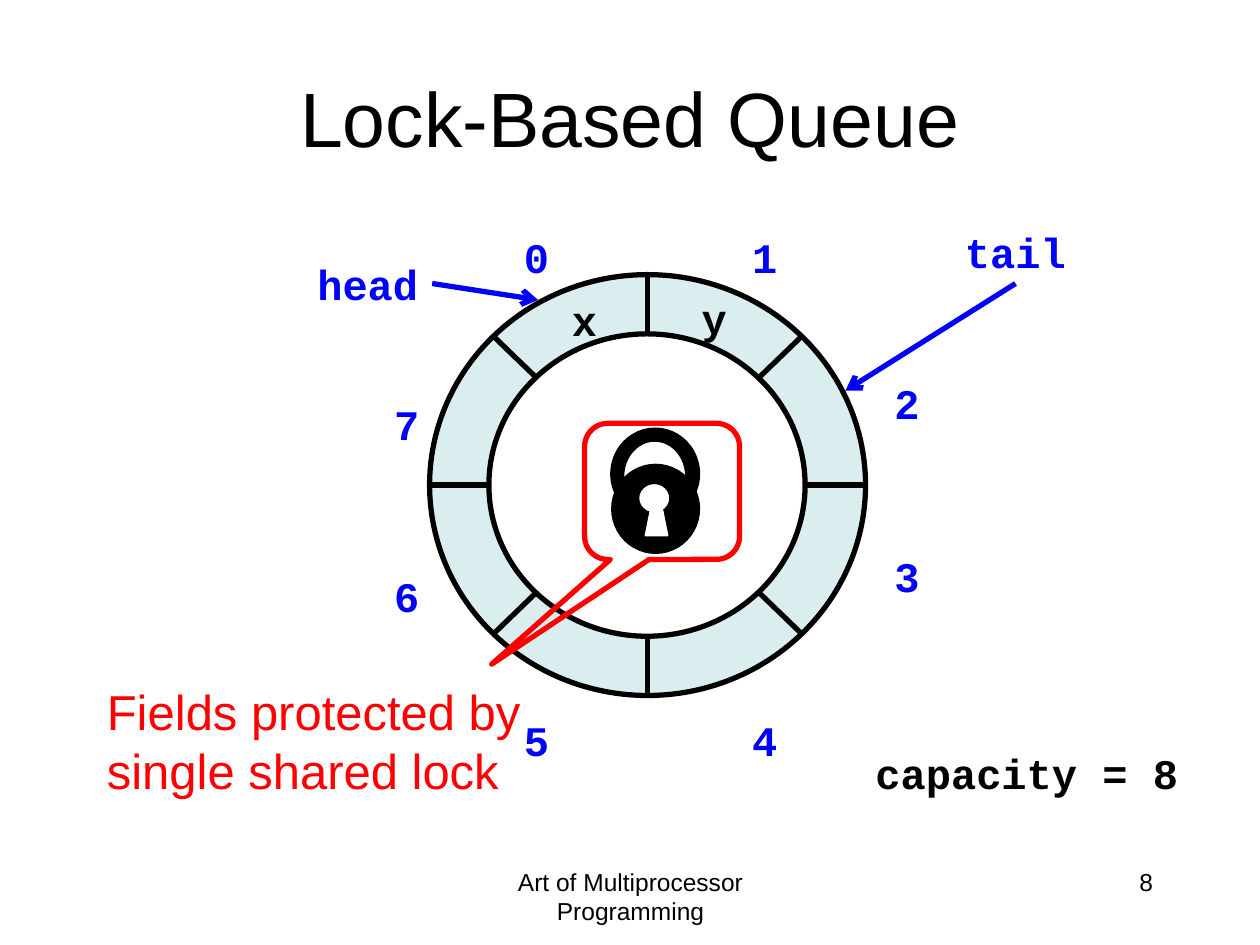
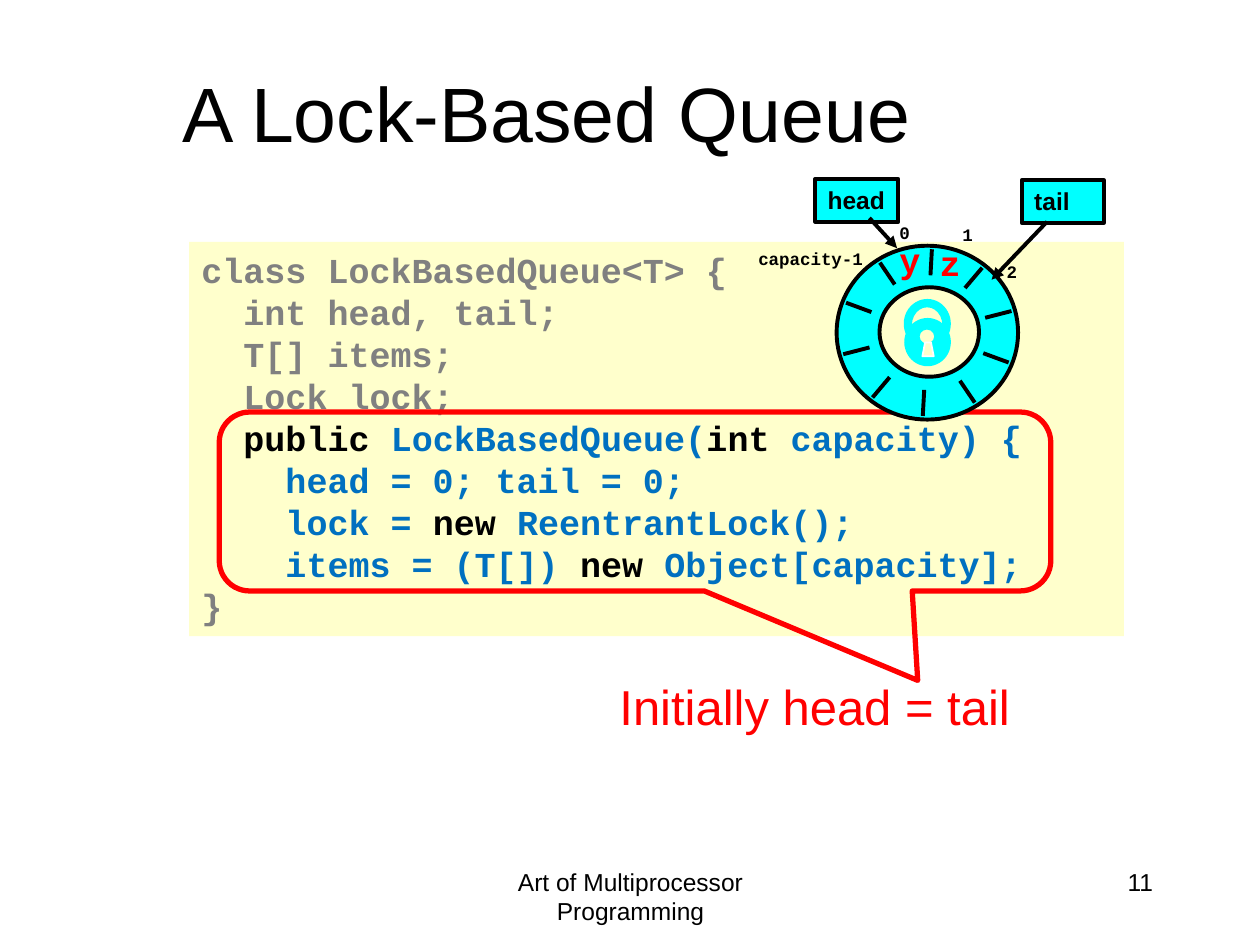
from dataclasses import dataclass
from math import cos, radians, sin

from lxml import etree
from pptx import Presentation
from pptx.dml.color import RGBColor
from pptx.enum.shapes import MSO_CONNECTOR, MSO_SHAPE
from pptx.enum.text import MSO_ANCHOR, MSO_AUTO_SIZE, PP_ALIGN
from pptx.oxml.ns import qn
from pptx.util import Inches, Pt

ELLIPSE, RECT = MSO_SHAPE.OVAL, MSO_SHAPE.RECTANGLE
CALLOUT = MSO_SHAPE.ROUNDED_RECTANGULAR_CALLOUT
LEFT, CENTER, RIGHT = PP_ALIGN.LEFT, PP_ALIGN.CENTER, PP_ALIGN.RIGHT
TOP, MIDDLE = MSO_ANCHOR.TOP, MSO_ANCHOR.MIDDLE
GROW, FIXED = MSO_AUTO_SIZE.SHAPE_TO_FIT_TEXT, MSO_AUTO_SIZE.NONE
STRAIGHT = MSO_CONNECTOR.STRAIGHT

# The slide is a grid of 100 columns by 75 rows of square cells.
WIDTH, HEIGHT = Inches(10), Inches(7.5)
CELL = WIDTH / 100
SANS, MONO = "Arial", "Courier New"
COLORS = {
    "black": "000000", "white": "FFFFFF", "red": "FF0000", "blue": "0000FF",
    "ice": "DAEDEF", "cyan": "00FFFF", "cream": "FFFFCC",
    "gray": "808080", "code": "0070C0",
}


@dataclass(frozen=True)
class Box:
    """Left, top, width and height in grid cells."""
    x: float
    y: float
    w: float
    h: float

    def emu(self) -> tuple:
        return tuple(cells(v) for v in (self.x, self.y, self.w, self.h))

    def at(self, fx: float, fy: float) -> tuple:
        return self.x + fx * self.w, self.y + fy * self.h

    def inset(self, fx: float, fy: float, fw: float, fh: float) -> "Box":
        return Box(*self.at(fx, fy), fw * self.w, fh * self.h)


@dataclass(frozen=True)
class Style:
    size: int
    color: str = "black"
    font: str = SANS
    bold: bool = False


@dataclass(frozen=True)
class Label:
    text: str
    box: Box
    style: Style
    align: int = LEFT
    wrap: bool = False


@dataclass(frozen=True)
class Ring:
    outer: Box
    inner: Box
    fill: str
    hole: str
    weight: float
    angles: tuple
    start: float  # spoke ends as shares of the outer radius
    end: float


@dataclass(frozen=True)
class Arrow:
    start: tuple
    end: tuple
    color: str
    weight: float
    head: str


TITLE = Style(44)
FOOTER = Style(14)
NOTE = Style(28, "red")
FIELD = Style(24, "blue", MONO, True)
ITEM = Style(24, "black", MONO, True)
SMALL_INDEX = Style(10, "black", MONO, True)
SMALL_ITEM = Style(20, "red", MONO, True)
TAG = Style(14, bold=True)


def cells(value: float) -> int:
    return round(value * CELL)


def rgb(name: str) -> RGBColor:
    return RGBColor.from_string(COLORS[name])


def add_run(p, text: str, style: Style) -> None:
    r = p.add_run()
    r.text = text
    r.font.size, r.font.bold, r.font.name = Pt(style.size), style.bold, style.font
    r.font.color.rgb = rgb(style.color)


def paint(s, fill: str | None, line: str | None, weight: float = 1) -> None:
    s.shadow.inherit = False
    if fill:
        s.fill.solid()
        s.fill.fore_color.rgb = rgb(fill)
    else:
        s.fill.background()
    if line:
        s.line.color.rgb = rgb(line)
        s.line.width = Pt(weight)
    else:
        s.line.fill.background()


def add_shape(slide, kind: int, box: Box, fill: str | None, line: str | None,
              weight: float = 1):
    s = slide.shapes.add_shape(kind, *box.emu())
    paint(s, fill, line, weight)
    return s


def add_label(slide, label: Label) -> None:
    tf = slide.shapes.add_textbox(*label.box.emu()).text_frame
    tf.word_wrap = label.wrap
    tf.auto_size = FIXED if label.wrap else GROW
    p = tf.paragraphs[0]
    p.alignment = label.align
    add_run(p, label.text, label.style)


def add_line(slide, start: tuple, end: tuple, color: str, weight: float):
    points = [cells(v) for v in (*start, *end)]
    s = slide.shapes.add_connector(STRAIGHT, *points)
    s.line.color.rgb = rgb(color)
    s.line.width = Pt(weight)
    etree.SubElement(s._element.spPr, qn("a:effectLst"))
    return s


def add_arrow(slide, arrow: Arrow) -> None:
    s = add_line(slide, arrow.start, arrow.end, arrow.color, arrow.weight)
    ln = s._element.spPr.find(qn("a:ln"))
    etree.SubElement(ln, qn("a:tailEnd"), type=arrow.head)


def add_ring(slide, ring: Ring) -> None:
    add_shape(slide, ELLIPSE, ring.outer, ring.fill, "black", ring.weight)
    for angle in ring.angles:
        dx, dy = cos(radians(angle)) / 2, -sin(radians(angle)) / 2
        start, end = (ring.outer.at(0.5 + k * dx, 0.5 + k * dy)
                      for k in (ring.start, ring.end))
        add_line(slide, start, end, "black", ring.weight)
    add_shape(slide, ELLIPSE, ring.inner, ring.hole, "black", ring.weight)


def add_padlock(slide, box: Box, body: str, gap: str) -> None:
    ovals = [((0, 0, 1, 0.73), body), ((0.14, 0.1, 0.71, 0.57), gap),
             ((0.01, 0.29, 0.99, 0.71), body), ((0.31, 0.44, 0.36, 0.24), gap)]
    for shares, fill in ovals:
        add_shape(slide, ELLIPSE, box.inset(*shares), fill, body)
    slot = [(0.39, 0.86), (0.45, 0.65), (0.58, 0.65), (0.64, 0.86)]
    points = [tuple(cells(v) for v in box.at(*share)) for share in slot]
    builder = slide.shapes.build_freeform(*points[0], scale=1.0)
    builder.add_line_segments(points[1:], close=True)
    paint(builder.convert_to_shape(), gap, "white")


def add_callout(slide, box: Box, tip: tuple) -> None:
    """Outline a region; tip is the pointer's offset from the centre in box shares."""
    s = add_shape(slide, CALLOUT, box, None, "red", 3)
    for i, value in enumerate((*tip, 0.17)):
        s.adjustments[i] = value


def add_tag(slide, text: str, box: Box) -> None:
    s = add_shape(slide, RECT, box, "cyan", "black", 2.25)
    tf = s.text_frame
    tf.word_wrap, tf.vertical_anchor = True, TOP
    p = tf.paragraphs[0]
    p.alignment = LEFT
    add_run(p, text, TAG)


def add_code(slide, box: Box, lines: list) -> None:
    tf = add_shape(slide, RECT, box, "cream", None).text_frame
    tf.word_wrap, tf.vertical_anchor = True, TOP
    for i, line in enumerate(lines):
        p = tf.add_paragraph() if i else tf.paragraphs[0]
        p.alignment = LEFT
        for text, color in line:
            add_run(p, text, Style(20, color, MONO, True))


def new_slide(prs, title: str, box: Box, number: int, align: int = CENTER,
              indent: float = 1):
    slide = prs.slides.add_slide(prs.slide_layouts[5])
    s = slide.shapes.title
    s.left, s.top, s.width, s.height = box.emu()
    tf = s.text_frame
    tf.vertical_anchor, tf.auto_size = MIDDLE, FIXED
    tf.margin_left = cells(indent)
    p = tf.paragraphs[0]
    p.alignment = align
    add_run(p, title, TITLE)
    add_label(slide, Label("Art of Multiprocessor Programming",
                           Box(34.2, 68.3, 31.7, 5), FOOTER, CENTER, True))
    add_label(slide, Label(str(number), Box(71.7, 68.3, 20.8, 5), FOOTER, RIGHT, True))
    return slide


def build_diagram_slide(prs) -> None:
    slide = new_slide(prs, "Lock-Based Queue", Box(5, 3, 90, 12.5), 8)
    add_ring(slide, Ring(Box(34.1, 21.8, 34.6, 33.4), Box(38.8, 26.5, 25.1, 24),
                         "ice", "white", 3, (0, 45, 90, 135), -1, 1))
    index_spots = [(40.6, 17.9), (58.7, 17.9), (70, 29.5), (70, 43.2),
                   (58.7, 56.2), (40.6, 56.2), (30.3, 44.8), (30.3, 31.1)]
    for i, spot in enumerate(index_spots):
        add_label(slide, Label(str(i), Box(*spot, 4.1, 5), FIELD))
    for label in (
        Label("head", Box(24.2, 20, 10.2, 5), FIELD),
        Label("tail", Box(75.6, 17.5, 10.2, 5), FIELD),
        Label("capacity = 8", Box(68.5, 58.8, 26.4, 5), ITEM),
        Label("y", Box(54.7, 22.7, 4.1, 5), ITEM),
        Label("x", Box(44.4, 22.9, 4.1, 5), ITEM),
    ):
        add_label(slide, label)
    add_arrow(slide, Arrow((34.3, 22.5), (42.7, 23.8), "blue", 3, "arrow"))
    add_arrow(slide, Arrow((80.6, 22.5), (67.1, 31), "blue", 3, "arrow"))
    add_shape(slide, ELLIPSE, Box(46.5, 33.1, 10.9, 11.7), "white", "white")
    add_padlock(slide, Box(48.5, 34, 7, 9.9), "black", "white")
    add_callout(slide, Box(46.4, 33.6, 12.3, 10.8), (-1.1, 1.27))
    add_label(slide, Label("Fields protected by single shared lock",
                           Box(7.5, 53.6, 43.1, 10.4), NOTE, wrap=True))


def build_code_slide(prs) -> None:
    slide = new_slide(prs, "A Lock-Based Queue", Box(5, 2.6, 82.1, 12.6), 11, LEFT, 9.5)
    add_code(slide, Box(15, 19.2, 74.2, 31.3), [
        [("class LockBasedQueue<T> {", "gray")],
        [("  int head, tail;", "gray")],
        [("  T[] items;", "gray")],
        [("  Lock lock;", "gray")],
        [("  public ", "black"), ("LockBasedQueue(", "code"),
         ("int ", "black"), ("capacity) {", "code")],
        [("    head = 0; tail = 0;", "code")],
        [("    lock = ", "code"), ("new ", "black"), ("ReentrantLock();", "code")],
        [("    items = (T[]) ", "code"), ("new ", "black"),
         ("Object[capacity];", "code")],
        [("}", "gray")],
    ])
    add_callout(slide, Box(17.4, 32.7, 66, 14.2), (0.34, 1))
    add_label(slide, Label("Initially head = tail", Box(46.1, 53.2, 37.1, 5.7),
                           NOTE, CENTER, True))
    add_ring(slide, Ring(Box(66.4, 19.5, 14.4, 13.8), Box(69.8, 22.8, 7.9, 7.1),
                         "cyan", "cream", 2.25,
                         tuple(87 - 36 * i for i in range(10)), 0.66, 0.96))
    for label in (
        Label("0", Box(70.4, 17.1, 2.8, 2.7), SMALL_INDEX),
        Label("1", Box(75.4, 17.3, 2.8, 2.7), SMALL_INDEX),
        Label("2", Box(78.9, 20.2, 2.8, 2.7), SMALL_INDEX),
        Label("capacity-1", Box(59.2, 19.2, 10.4, 2.7), SMALL_INDEX),
        Label("y", Box(70.4, 18.4, 3.7, 4.3), SMALL_ITEM),
        Label("z", Box(73.6, 18.7, 3.7, 4.3), SMALL_ITEM),
    ):
        add_label(slide, label)
    add_tag(slide, "head", Box(64.7, 14.2, 6.6, 3.4))
    add_tag(slide, "tail", Box(81.1, 14.3, 6.5, 3.4))
    add_arrow(slide, Arrow((69, 17.3), (71.2, 19.7), "black", 2.25, "triangle"))
    add_arrow(slide, Arrow((83.1, 17.6), (78.7, 22.2), "black", 2.25, "triangle"))
    add_padlock(slide, Box(71.8, 23.8, 3.6, 5.2), "cyan", "cream")


def main() -> None:
    prs = Presentation()
    prs.slide_width, prs.slide_height = WIDTH, HEIGHT
    build_diagram_slide(prs)
    build_code_slide(prs)
    prs.save("out.pptx")


if __name__ == "__main__":
    main()
